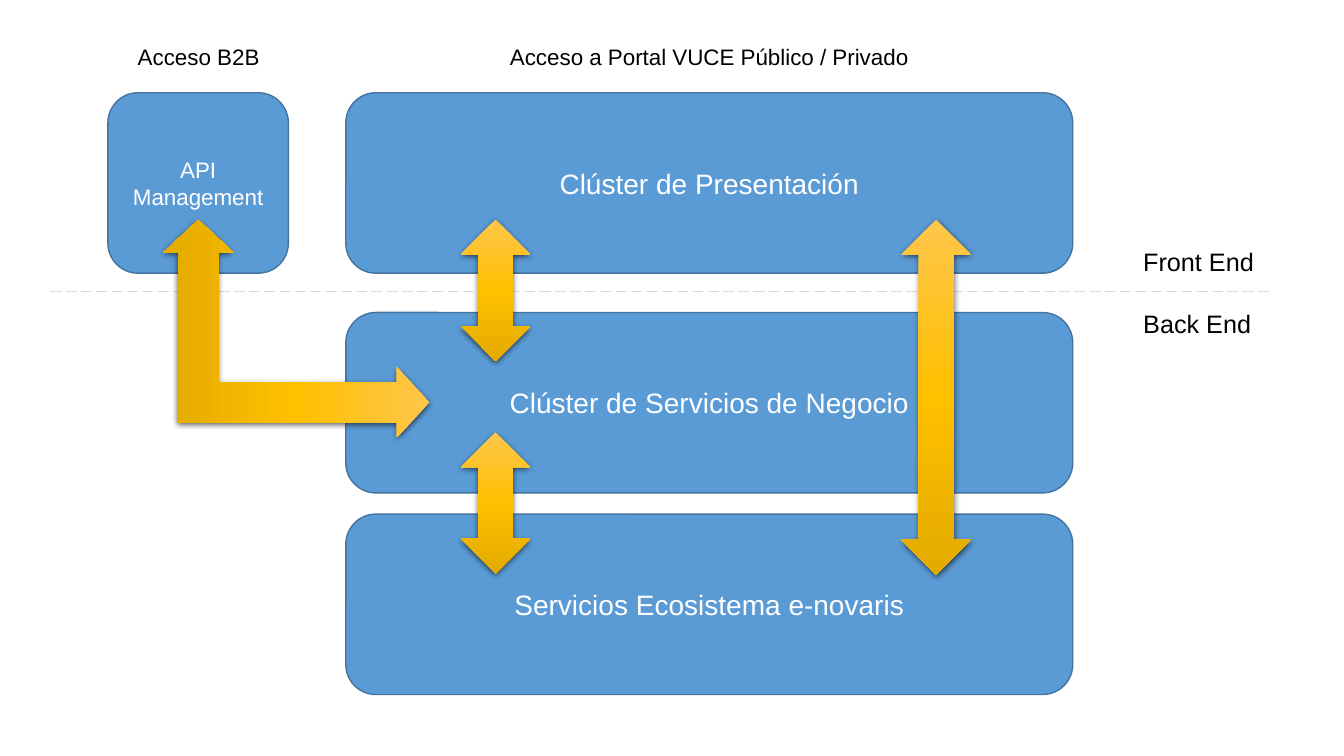
from dataclasses import dataclass

from lxml import etree
from pptx import Presentation
from pptx.dml.color import RGBColor
from pptx.enum.dml import MSO_LINE_DASH_STYLE as DASH
from pptx.enum.shapes import MSO_CONNECTOR, MSO_SHAPE
from pptx.enum.text import MSO_ANCHOR, MSO_AUTO_SIZE, PP_ALIGN
from pptx.oxml import parse_xml
from pptx.oxml.ns import qn
from pptx.util import Inches, Pt

FONT = "Arial"
COLORS = {
    "box": "5B9BD5", "box_line": "43739E", "divider": "D9D9D9",
    "light_text": "FFFFFF", "dark_text": "000000", "shadow": "000000",
    "gold_light": "FFC64B", "gold": "FFC000", "gold_dark": "E3AB00",
}
GOLD_STOPS = ((0, "gold_light"), (50, "gold"), (100, "gold_dark"))
NAMESPACE = "http://schemas.openxmlformats.org/drawingml/2006/main"


@dataclass
class Box:
    text: str
    left: float
    top: float
    width: float
    size: int = 20
    height: float = 1.79


@dataclass
class Label:
    text: str
    left: float
    top: float
    width: float
    height: float
    size: int
    align: PP_ALIGN


@dataclass
class Arrow:
    left: float
    top: float
    height: float
    width: float = 0.69
    kind: MSO_SHAPE = MSO_SHAPE.UP_DOWN_ARROW
    rotation: int = 0
    adjustments: tuple[float, ...] = ()


CLUSTER_LEFT, CLUSTER_WIDTH = 3.43, 7.21
CLUSTERS = [
    Box(text, CLUSTER_LEFT, top, CLUSTER_WIDTH)
    for text, top in (
        ("Clúster de Presentación", 0.92),
        ("Clúster de Servicios de Negocio", 3.1),
        ("Servicios Ecosistema e-novaris", 5.1),
    )
]
API_BOX = Box("API Management", 1.07, 0.92, 1.79, size=16)
LABELS = [
    Label("Front End", 11.24, 2.39, 1.39, 0.4, 18, PP_ALIGN.LEFT),
    Label("Back End", 11.24, 3.01, 1.39, 0.4, 18, PP_ALIGN.LEFT),
    Label("Acceso a Portal VUCE Público / Privado", 4.55, 0.38, 4.97, 0.37, 16, PP_ALIGN.CENTER),
    Label("Acceso B2B", 1.18, 0.38, 1.58, 0.37, 16, PP_ALIGN.CENTER),
]
CLUSTER_ARROWS = [Arrow(4.57, 2.18, 1.4), Arrow(4.57, 4.29, 1.4), Arrow(8.94, 2.18, 3.52)]
API_ARROW = Arrow(1.86, 1.94, 2.64, 2.16, MSO_SHAPE.LEFT_UP_ARROW, 90, (0.186, 0.161, 0.15))


def color(name: str) -> RGBColor:
    return RGBColor.from_string(COLORS[name])


def write_text(frame, text: str, size: int, color_name: str, align: PP_ALIGN) -> None:
    frame.word_wrap = True
    paragraph = frame.paragraphs[0]
    paragraph.alignment = align
    run = paragraph.add_run()
    run.text = text
    run.font.name = FONT
    run.font.size = Pt(size)
    run.font.color.rgb = color(color_name)


def draw_box(slide, box: Box) -> None:
    shape = slide.shapes.add_shape(
        MSO_SHAPE.ROUNDED_RECTANGLE, Inches(box.left), Inches(box.top),
        Inches(box.width), Inches(box.height))
    shape.shadow.inherit = False
    shape.fill.solid()
    shape.fill.fore_color.rgb = color("box")
    shape.line.color.rgb = color("box_line")
    shape.line.width = Pt(1)
    shape.text_frame.vertical_anchor = MSO_ANCHOR.MIDDLE
    write_text(shape.text_frame, box.text, box.size, "light_text", PP_ALIGN.CENTER)


def draw_label(slide, label: Label) -> None:
    text_box = slide.shapes.add_textbox(
        Inches(label.left), Inches(label.top), Inches(label.width), Inches(label.height))
    write_text(text_box.text_frame, label.text, label.size, "dark_text", label.align)
    text_box.text_frame.auto_size = MSO_AUTO_SIZE.SHAPE_TO_FIT_TEXT


def draw_arrow(slide, arrow: Arrow) -> None:
    shape = slide.shapes.add_shape(
        arrow.kind, Inches(arrow.left), Inches(arrow.top),
        Inches(arrow.width), Inches(arrow.height))
    shape.rotation = arrow.rotation
    for index, value in enumerate(arrow.adjustments):
        shape.adjustments[index] = value
    shape.line.fill.background()

    # Gold gradient from top to bottom
    shape.fill.gradient()
    shape.fill.gradient_angle = 270
    properties = shape._element.spPr
    stops = properties.find(qn("a:gradFill")).find(qn("a:gsLst"))
    for stop in list(stops):
        stops.remove(stop)
    for percent, name in GOLD_STOPS:
        stop = etree.SubElement(stops, qn("a:gs"), pos=str(percent * 1000))
        etree.SubElement(stop, qn("a:srgbClr"), val=COLORS[name])

    # Soft shadow below
    shape.shadow.inherit = False
    properties.find(qn("a:effectLst")).append(parse_xml(
        f'<a:outerShdw xmlns:a="{NAMESPACE}" blurRad="{Pt(4.5)}" dist="{Pt(1.5)}" '
        f'dir="5400000" algn="ctr" rotWithShape="0"><a:srgbClr val="{COLORS["shadow"]}">'
        '<a:alpha val="63000"/></a:srgbClr></a:outerShdw>'))


def draw_divider(slide, left: float, right: float, top: float) -> None:
    divider = slide.shapes.add_connector(
        MSO_CONNECTOR.STRAIGHT, Inches(left), Inches(top), Inches(right), Inches(top))
    divider.line.color.rgb = color("divider")
    divider.line.width = Pt(1)
    divider.line.dash_style = DASH.LONG_DASH
    etree.SubElement(divider._element.spPr, qn("a:effectLst"))


presentation = Presentation()
presentation.slide_width = Inches(13.33)
presentation.slide_height = Inches(7.5)
slide = presentation.slides.add_slide(presentation.slide_layouts[6])

# Clusters and the line between front end and back end
for cluster in CLUSTERS:
    draw_box(slide, cluster)
draw_divider(slide, 0.5, 12.62, 2.89)

# Arrows between clusters, then the API access
for cluster_arrow in CLUSTER_ARROWS:
    draw_arrow(slide, cluster_arrow)
draw_box(slide, API_BOX)
draw_arrow(slide, API_ARROW)

# Captions
for caption in LABELS:
    draw_label(slide, caption)

presentation.save("out.pptx")
